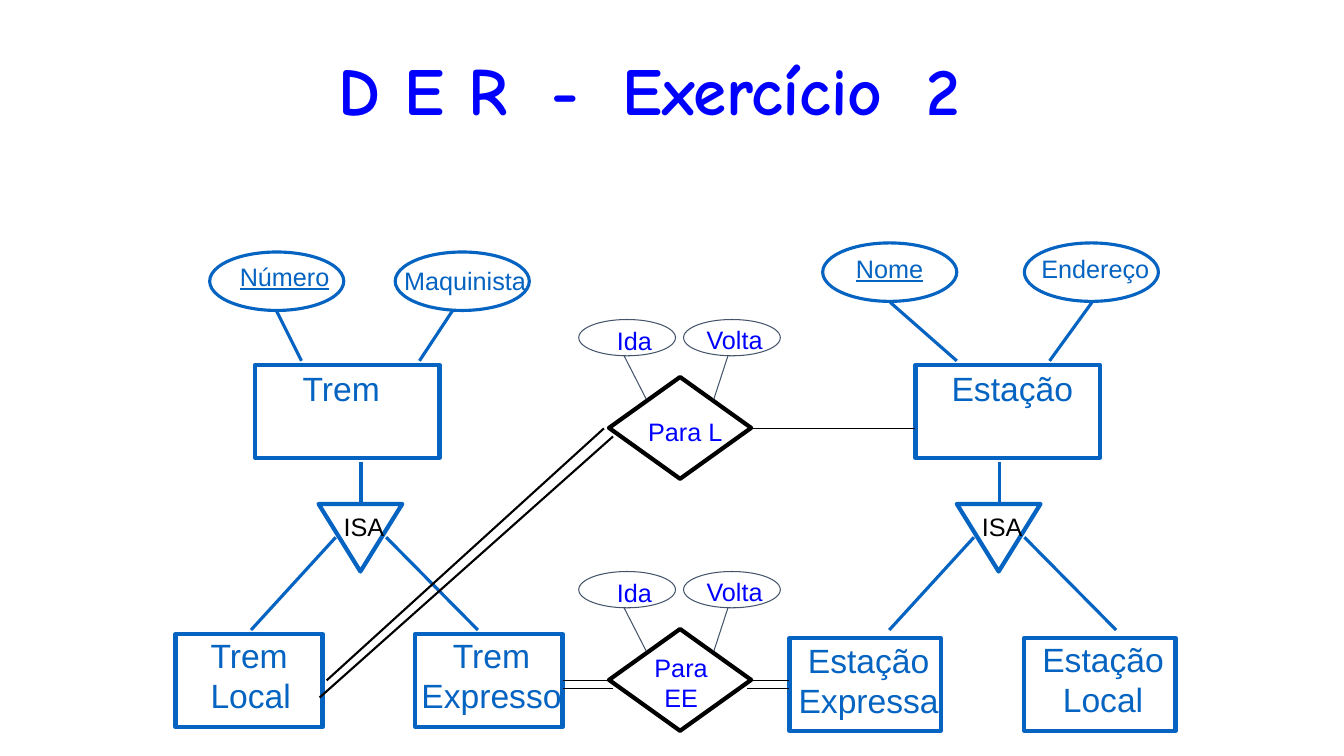
from lxml.etree import SubElement
from pptx import Presentation
from pptx.dml.color import RGBColor
from pptx.enum.shapes import MSO_CONNECTOR, MSO_SHAPE
from pptx.enum.text import MSO_ANCHOR, MSO_AUTO_SIZE, PP_ALIGN
from pptx.oxml.ns import qn
from pptx.util import Inches, Pt

COLORS = {"entity": "0563C1", "label": "0000FF", "black": "000000", "thin": "44546A"}


def rgb(name):
    return RGBColor.from_string(COLORS[name])


class Diagram:
    font = "Arial"
    title_font = "Comic Neue"

    def __init__(self, prs):
        self.slide = prs.slides.add_slide(prs.slide_layouts[5])

    def title(self, words, left, top, width, height):
        """Set the title, with a widened space between its words."""
        sp = self.slide.shapes.title
        sp.left, sp.top, sp.width, sp.height = map(Inches, (left, top, width, height))
        tf = sp.text_frame
        tf.word_wrap = True
        tf.auto_size = MSO_AUTO_SIZE.NONE
        tf.vertical_anchor = MSO_ANCHOR.BOTTOM
        p = tf.paragraphs[0]
        p.alignment = PP_ALIGN.CENTER
        for i, word in enumerate(words):
            if i:
                r = p.add_run()
                r.text = " "
                r.font.size = Pt(48)
                r._r.get_or_add_rPr().set("spc", "1400")
            p.add_run().text = word
        p.font.name, p.font.size, p.font.bold = self.title_font, Pt(48), True
        p.font.color.rgb = rgb("label")

    def shape(self, kind, left, top, width, height, color="entity", weight=3):
        sp = self.slide.shapes.add_shape(kind, *map(Inches, (left, top, width, height)))
        sp.shadow.inherit = False
        sp.fill.background()
        sp.line.color.rgb = rgb(color)
        sp.line.width = Pt(weight)

    def line(self, x1, y1, x2, y2, color="entity", weight=2.25):
        cn = self.slide.shapes.add_connector(
            MSO_CONNECTOR.STRAIGHT, *map(Inches, (x1, y1, x2, y2)))
        SubElement(cn._element.spPr, qn("a:effectLst"))
        cn.line.color.rgb = rgb(color)
        cn.line.width = Pt(weight)

    def text(self, text, left, top, width, height=0.4, size=18, color="entity",
             align=PP_ALIGN.LEFT, underline=None):
        box = self.slide.shapes.add_textbox(*map(Inches, (left, top, width, height)))
        tf = box.text_frame
        tf.word_wrap = False
        tf.auto_size = MSO_AUTO_SIZE.SHAPE_TO_FIT_TEXT
        tf.text = text
        for p in tf.paragraphs:
            p.alignment = align
            p.font.name, p.font.size, p.font.underline = self.font, Pt(size), underline
            p.font.color.rgb = rgb(color)

    def entity(self, name, box, label, align=PP_ALIGN.CENTER):
        """Draw a rectangle; label is the left, top and width of its name."""
        self.shape(MSO_SHAPE.RECTANGLE, *box)
        self.text(name, *label, height=0.91, size=24, align=align)

    def attribute(self, name, left, top, label, link, key=None):
        """Draw an ellipse; link is the line from it to its entity."""
        self.shape(MSO_SHAPE.OVAL, left, top, 1.33, 0.58, weight=2.25)
        self.line(*link)
        self.text(name, *label, underline=key)

    def isa(self, x):
        """Draw an ISA triangle centred on x, with its three links."""
        self.shape(MSO_SHAPE.FLOWCHART_MERGE, x - 0.42, 5, 0.83, 0.67)
        self.line(x, 4.58, x, 5)
        self.line(x - 0.25, 5.33, x - 1.09, 6.25)
        self.line(x + 0.25, 5.33, x + 1.16, 6.25)
        self.text("ISA", x - 0.27, 5.02, 0.6, color="black")

    def relation(self, name, top, label, align=PP_ALIGN.LEFT):
        """Draw a diamond with its Ida and Volta attributes above."""
        self.shape(MSO_SHAPE.DIAMOND, 6.04, top, 1.41, 1.01, "black")
        self.text(name, *label, color="label", align=align)
        for left in (5.74, 6.78):
            self.shape(MSO_SHAPE.OVAL, left, top - 0.57, 0.96, 0.36, "thin", 0.75)
        self.text("Ida", 6.02, top - 0.56, 0.55, color="label")
        self.text("Volta", 6.91, top - 0.57, 0.77, color="label")
        for x1, x2 in ((6.19, 6.41), (7.22, 7.08)):
            self.line(x1, top - 0.21, x2, top + 0.22, "thin", 0.75)


def main():
    prs = Presentation()
    prs.slide_width, prs.slide_height = Inches(13.33), Inches(7.5)
    s = Diagram(prs)
    s.title(["D E R", "-", "Exercício", "2"], 1.9, 0.08, 9.08, 1.25)

    s.entity("Trem", (2.53, 3.62, 1.83, 0.92), (2.85, 3.6, 1.07))
    s.entity("Estação", (9.08, 3.62, 1.83, 0.92), (9.33, 3.6, 1.42))
    s.entity("Trem\nLocal", (1.74, 6.29, 1.46, 0.92), (1.99, 6.25, 1.01), PP_ALIGN.LEFT)
    s.entity("Trem\nExpresso", (4.12, 6.29, 1.46, 0.92), (4.07, 6.25, 1.61))
    s.entity("Estação\nExpressa", (7.83, 6.33, 1.5, 0.92), (7.81, 6.3, 1.61))
    s.entity("Estação\nLocal", (10.16, 6.33, 1.5, 0.92), (10.23, 6.29, 1.42))

    s.attribute("Número", 2.08, 2.5, (2.28, 2.54, 1.09), (2.74, 3.08, 2.99, 3.58), True)
    s.attribute("Maquinista", 3.92, 2.5, (3.91, 2.58, 1.41), (4.49, 3.08, 4.16, 3.58))
    s.attribute("Nome", 8.16, 2.41, (8.39, 2.46, 0.87), (8.83, 3, 9.49, 3.58), True)
    s.attribute("Endereço", 10.16, 2.41, (10.23, 2.46, 1.27), (10.83, 3, 10.41, 3.58))

    for x in (3.58, 9.91):
        s.isa(x)

    s.relation("Para L", 3.74, (6.33, 4.08, 0.94))
    s.relation("Para\nEE", 6.24, (6.39, 6.42, 0.73, 0.7), PP_ALIGN.CENTER)

    s.line(7.41, 4.25, 9.08, 4.25, "black", 0.75)
    s.line(3.24, 6.75, 5.99, 4.25, "black", 1.5)
    s.line(3.17, 6.92, 6.08, 4.33, "black", 1.5)
    for y in (6.75, 6.83):
        for x1, x2 in ((5.58, 6.08), (7.41, 7.83)):
            s.line(x1, y, x2, y, "black", 0.25)

    prs.save("out.pptx")


if __name__ == "__main__":
    main()
